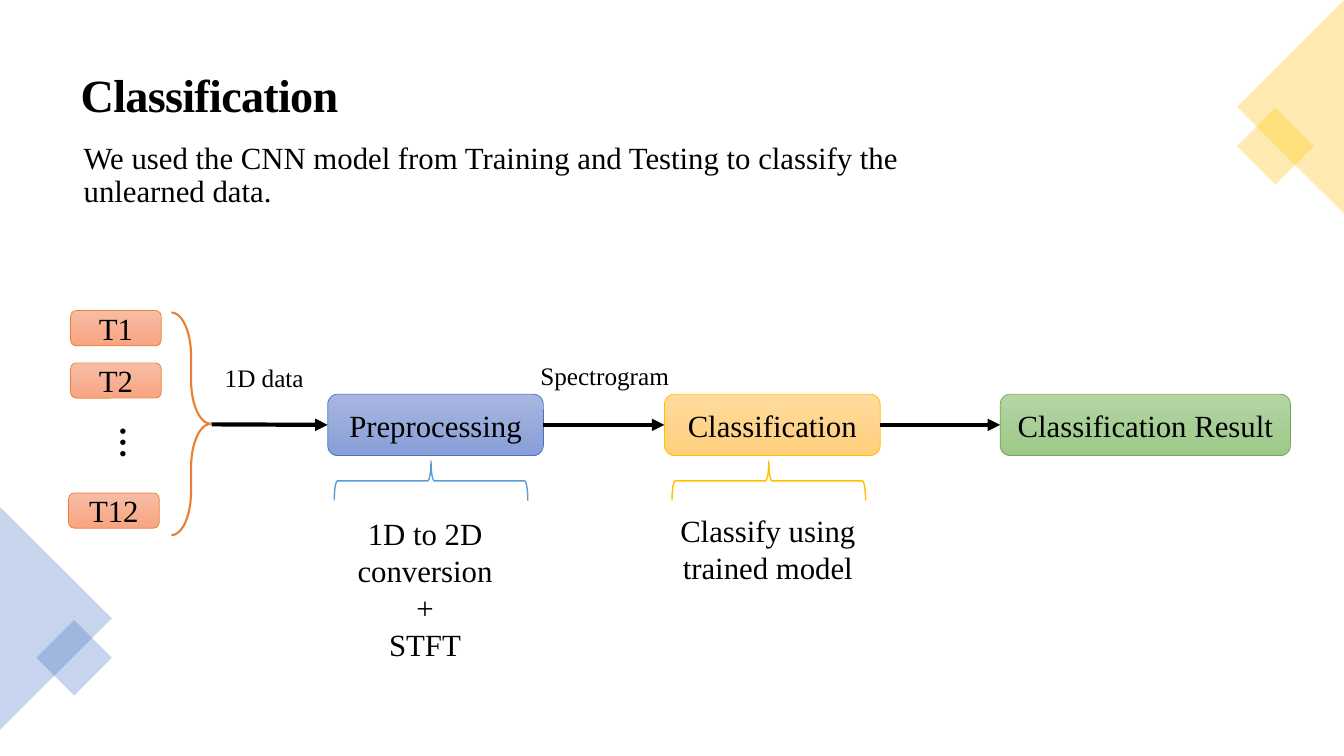
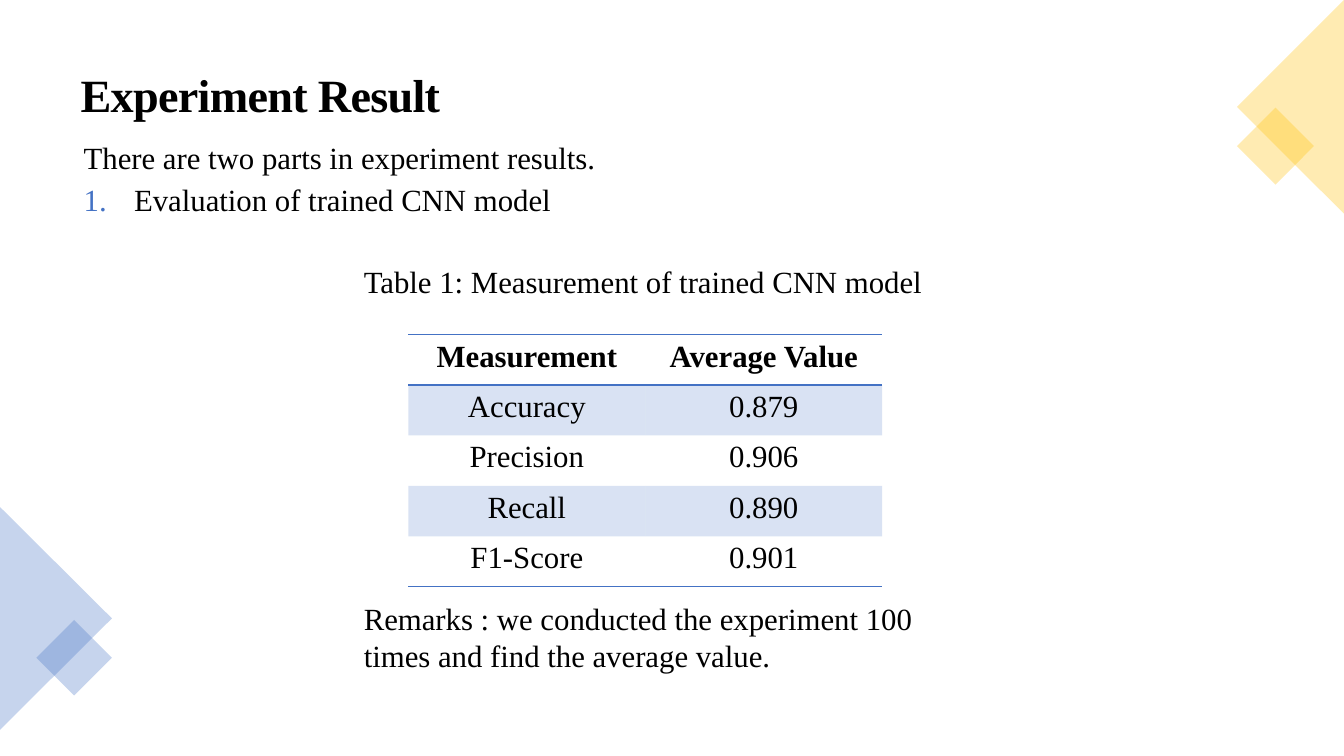
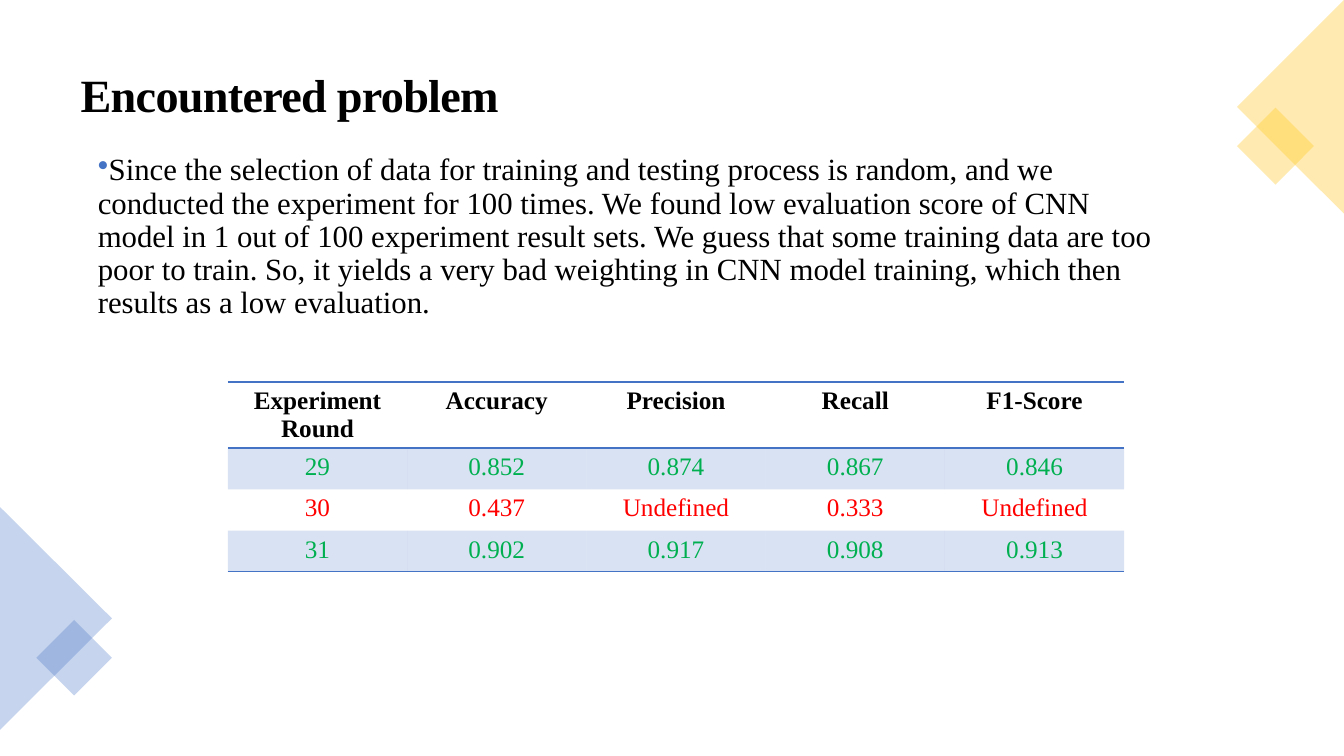
from lxml import etree
from pptx import Presentation
from pptx import util as u
from pptx.dml.color import RGBColor
from pptx.enum import shapes, text
from pptx.oxml import ns

Inches, Pt = u.Inches, u.Pt
Shape = shapes.MSO_SHAPE
LEFT, CENTER = text.PP_ALIGN.LEFT, text.PP_ALIGN.CENTER

BLACK = RGBColor(0x00, 0x00, 0x00)
BLUE = RGBColor(0x44, 0x72, 0xC4)
GOLD = RGBColor(0xFF, 0xC0, 0x00)
ORANGE = RGBColor(0xED, 0x7D, 0x31)
SKY = RGBColor(0x5B, 0x9B, 0xD5)
GREEN = RGBColor(0x70, 0xAD, 0x47)
GOOD = RGBColor(0x00, 0xB0, 0x50)
BAD = RGBColor(0xFF, 0x00, 0x00)

# Top and bottom gradient colours of the boxes, by line colour
GRADIENTS = {
    ORANGE: (RGBColor(0xF7, 0xBD, 0xA5), RGBColor(0xF8, 0xA5, 0x82)),
    BLUE: (RGBColor(0xA8, 0xB7, 0xDF), RGBColor(0x88, 0x9E, 0xD7)),
    GOLD: (RGBColor(0xFF, 0xDB, 0x9E), RGBColor(0xFF, 0xD0, 0x7C)),
    GREEN: (RGBColor(0xB5, 0xD5, 0xA7), RGBColor(0x9C, 0xC9, 0x87)),
}

FONT = "Times New Roman"
PLAIN_TABLE = "{2D5ABB26-0587-4C30-8999-92F81FD0307C}"

# Corner decorations: shape, position, rotation, colour
CORNERS = [
    [(Shape.RECTANGLE, (12.38, 1.18, 0.54, 0.54), 45, GOLD),
     (Shape.ISOSCELES_TRIANGLE, (11.74, 0.53, 2.12, 1.06), 270, GOLD)],
    [(Shape.ISOSCELES_TRIANGLE, (-0.55, 5.58, 2.21, 1.11), 90, BLUE),
     (Shape.RECTANGLE, (0.47, 6.26, 0.53, 0.53), 45, BLUE)],
]


def inches(*lengths):
    return [Inches(length) for length in lengths]


def add_element(parent, tag, **attributes):
    element = etree.SubElement(parent, ns.qn(tag))
    for name, value in attributes.items():
        element.set(name, str(value))
    return element


def fill_solid(fill, color, opacity):
    fill.solid()
    fill.fore_color.rgb = color
    color_element = fill._xPr.find(".//" + ns.qn("a:srgbClr"))
    add_element(color_element, "a:alpha", val=opacity * 1000)


class Deck:
    """Holds the shared style and the current slide."""

    def __init__(self):
        self.presentation = Presentation()
        self.presentation.slide_width = Inches(13.33)
        self.presentation.slide_height = Inches(7.5)
        self.slide = None

    def new_slide(self, title):
        layout = self.presentation.slide_layouts[1]
        self.slide = self.presentation.slides.add_slide(layout)
        for corner in CORNERS:
            group = self.slide.shapes.add_group_shape()
            for kind, position, rotation, color in corner:
                shape = group.shapes.add_shape(kind, *inches(*position))
                shape.shadow.inherit = False
                shape.rotation = rotation
                shape.line.fill.background()
                fill_solid(shape.fill, color, 30)
        frame = self.place(self.slide.shapes.title, (0.7, 0.35, 11.93, 1.24))
        frame.vertical_anchor = text.MSO_ANCHOR.MIDDLE
        paragraph = frame.paragraphs[0]
        paragraph.line_spacing = 0.9
        run = self.add_text(paragraph, title, 33, bold=True)
        run.font._element.set("spc", "-50")

    def place(self, shape, position):
        shape.left, shape.top, shape.width, shape.height = inches(*position)
        frame = shape.text_frame
        frame.word_wrap = True
        frame.auto_size = text.MSO_AUTO_SIZE.NONE
        return frame

    def add_text(self, paragraph, content, size=22, color=BLACK, bold=False,
                 align=LEFT, font=FONT):
        paragraph.alignment = align
        run = paragraph.add_run()
        run.text = content
        run.font.name = font
        run.font.size = Pt(size)
        run.font.bold = bold
        run.font.color.rgb = color
        return run

    def add_lines(self, frame, lines, **style):
        for index, line in enumerate(lines):
            paragraph = frame.add_paragraph() if index else frame.paragraphs[0]
            self.add_text(paragraph, line, **style)

    def body(self, position, items):
        """Fill the body placeholder with (text, marker) items."""
        frame = self.place(self.slide.placeholders[1], position)
        frame.vertical_anchor = text.MSO_ANCHOR.TOP
        self.add_lines(frame, [content for content, _ in items])
        for paragraph, (_, marker) in zip(frame.paragraphs, items):
            paragraph.line_spacing = 0.9
            paragraph.space_before = Pt(0)
            paragraph.space_after = Pt(6)
            self.mark(paragraph, marker)

    def mark(self, paragraph, marker):
        margin, indent = {"number": (0.5, -0.5), "bullet": (0, -0.25),
                          None: (0, 0)}[marker]
        properties = paragraph._p.get_or_add_pPr()
        properties.set("marL", str(Inches(margin)))
        properties.set("indent", str(Inches(indent)))
        if marker is None:
            add_element(properties, "a:buNone")
            return
        marker_color = add_element(properties, "a:buClr")
        add_element(marker_color, "a:srgbClr", val=BLUE)
        add_element(properties, "a:buFontTx")
        if marker == "number":
            add_element(properties, "a:buAutoNum", type="arabicPeriod")
        else:
            add_element(properties, "a:buChar", char="•")

    def label(self, position, *lines, vertical=False, **style):
        shape = self.slide.shapes.add_textbox(*inches(*position))
        frame = self.place(shape, position)
        if vertical:
            frame._txBody.bodyPr.set("vert", "eaVert")
        self.add_lines(frame, lines, **style)

    def box(self, position, content, color):
        shape = self.slide.shapes.add_shape(Shape.ROUNDED_RECTANGLE,
                                            *inches(*position))
        shape.shadow.inherit = False
        shape.fill.gradient()
        shape.fill.gradient_angle = 270
        for stop, shade in zip(shape.fill.gradient_stops, GRADIENTS[color]):
            stop.color.rgb = shade
        shape.line.color.rgb = color
        shape.line.width = Pt(0.5)
        frame = shape.text_frame
        frame.vertical_anchor = text.MSO_ANCHOR.MIDDLE
        self.add_text(frame.paragraphs[0], content, align=CENTER)
        return shape

    def brace(self, position, color, width, rotation=0, curve=None):
        shape = self.slide.shapes.add_shape(Shape.RIGHT_BRACE,
                                            *inches(*position))
        shape.shadow.inherit = False
        shape.rotation = rotation
        shape.fill.background()
        shape.line.color.rgb = color
        shape.line.width = Pt(width)
        if curve is not None:
            shape.adjustments[0] = curve

    def arrow(self, start, end, source=None, target=None):
        connector = self.slide.shapes.add_connector(
            shapes.MSO_CONNECTOR.STRAIGHT, *inches(*start, *end))
        if source is not None:
            connector.begin_connect(source, 3)
        if target is not None:
            connector.end_connect(target, 1)
        connector.line.color.rgb = BLACK
        connector.line.width = Pt(3)
        add_element(connector.line._get_or_add_ln(), "a:tailEnd",
                    type="triangle")
        add_element(connector._element.spPr, "a:effectLst")

    def table(self, position, rows, heights, size, row_colors):
        frame = self.slide.shapes.add_table(len(rows), len(rows[0]),
                                            *inches(*position))
        table = frame.table
        table.first_row = table.horz_banding = False
        table._tbl.tblPr.find(ns.qn("a:tableStyleId")).text = PLAIN_TABLE
        for row, height in zip(table.rows, heights):
            row.height = Inches(height)
        last = len(rows) - 1
        for row_index, values in enumerate(rows):
            header = row_index == 0
            for column_index, value in enumerate(values):
                cell = table.cell(row_index, column_index)
                self.add_text(cell.text_frame.paragraphs[0], value, size,
                              row_colors[row_index], header, CENTER)
                if row_index % 2:
                    fill_solid(cell.fill, BLUE, 20)
                else:
                    cell.fill.background()
                if header:
                    self.rules(cell, "a:lnT", "a:lnB")
                elif row_index == last:
                    self.rules(cell, "a:lnB")

    def rules(self, cell, *sides):
        properties = cell._tc.get_or_add_tcPr()
        for index, side in enumerate(sides):
            line = add_element(properties, side, w=Pt(1))
            solid = add_element(line, "a:solidFill")
            add_element(solid, "a:srgbClr", val=BLUE)
            properties.insert(index, line)


def classification(deck):
    deck.new_slide("Classification")
    deck.body((0.73, 1.37, 9.19, 0.87), [
        ("We used the CNN model from Training and Testing to classify the "
         "unlearned data.", None)])

    # Inputs
    for left, top, name in [(0.7, 3.08, "T1"), (0.7, 3.6, "T2"),
                            (0.68, 4.89, "T12")]:
        deck.box((left, top, 0.9, 0.35), name, ORANGE)
    deck.label((0.95, 4.14, 0.74, 0.51), "…", vertical=True, size=32,
               align=CENTER, font="Calibri")
    deck.brace((1.7, 3.1, 0.39, 2.21), ORANGE, 1.5, curve=1.11)

    # Process chain
    preprocessing, classifier, result = [
        deck.box((left, 3.91, width, 0.61), name, color)
        for left, width, name, color in [
            (3.25, 2.14, "Preprocessing", BLUE),
            (6.59, 2.14, "Classification", GOLD),
            (9.92, 2.88, "Classification Result", GREEN)]]
    middle = 4.21
    deck.arrow((2.1, middle), (3.25, middle), target=preprocessing)
    deck.arrow((5.39, middle), (6.59, middle), preprocessing, classifier)
    deck.arrow((8.73, middle), (9.92, middle), classifier, result)
    deck.label((2.13, 3.55, 1.15, 0.4), "1D data", size=18)
    deck.label((5.26, 3.53, 1.58, 0.4), "Spectrogram", size=18)

    # Explanations under the steps
    for left, color in [(4.08, SKY), (7.43, GOLD)]:
        deck.brace((left, 3.81, 0.39, 1.92), color, 1, rotation=270)
    deck.label((3.19, 5.06, 2.05, 1.58), "1D to 2D conversion", "+", "STFT",
               align=CENTER)
    deck.label((6.59, 5.03, 2.05, 0.84), "Classify using trained model",
               align=CENTER)


def experiment_result(deck):
    deck.new_slide("Experiment Result")
    deck.body((0.73, 1.37, 5.41, 1.35), [
        ("There are two parts in experiment results.", None),
        ("Evaluation of trained CNN model", "number")])
    deck.label((3.51, 2.56, 6.23, 0.47),
               "Table 1: Measurement of trained CNN model")
    rows = [("Measurement", "Average Value"), ("Accuracy", "0.879"),
            ("Precision", "0.906"), ("Recall", "0.890"),
            ("F1-Score", "0.901")]
    deck.table((4.05, 3.32, 4.7, 2.48), rows, [0.5] * 5, 22, [BLACK] * 5)
    deck.label((3.51, 5.9, 6.23, 0.84),
               "Remarks : we conducted the experiment 100 times and find the "
               "average value.")


def encountered_problem(deck):
    deck.new_slide("Encountered problem")
    deck.body((0.87, 1.48, 10.82, 1.8), [
        ("Since the selection of data for training and testing process is "
         "random, and we conducted the experiment for 100 times. We found low "
         "evaluation score of CNN model in 1 out of 100 experiment result "
         "sets. We guess that some training data are too poor to train. So, "
         "it yields a very bad weighting in CNN model training, which then "
         "results as a low evaluation.", "bullet")])
    rows = [("Experiment Round", "Accuracy", "Precision", "Recall",
             "F1-Score"),
            ("29", "0.852", "0.874", "0.867", "0.846"),
            ("30", "0.437", "Undefined", "0.333", "Undefined"),
            ("31", "0.902", "0.917", "0.908", "0.913")]
    deck.table((2.26, 3.79, 8.89, 1.88), rows, [0.65, 0.41, 0.41, 0.41], 18,
               [BLACK, GOOD, BAD, GOOD])


def main():
    deck = Deck()
    classification(deck)
    experiment_result(deck)
    encountered_problem(deck)
    deck.presentation.save("out.pptx")


if __name__ == "__main__":
    main()
